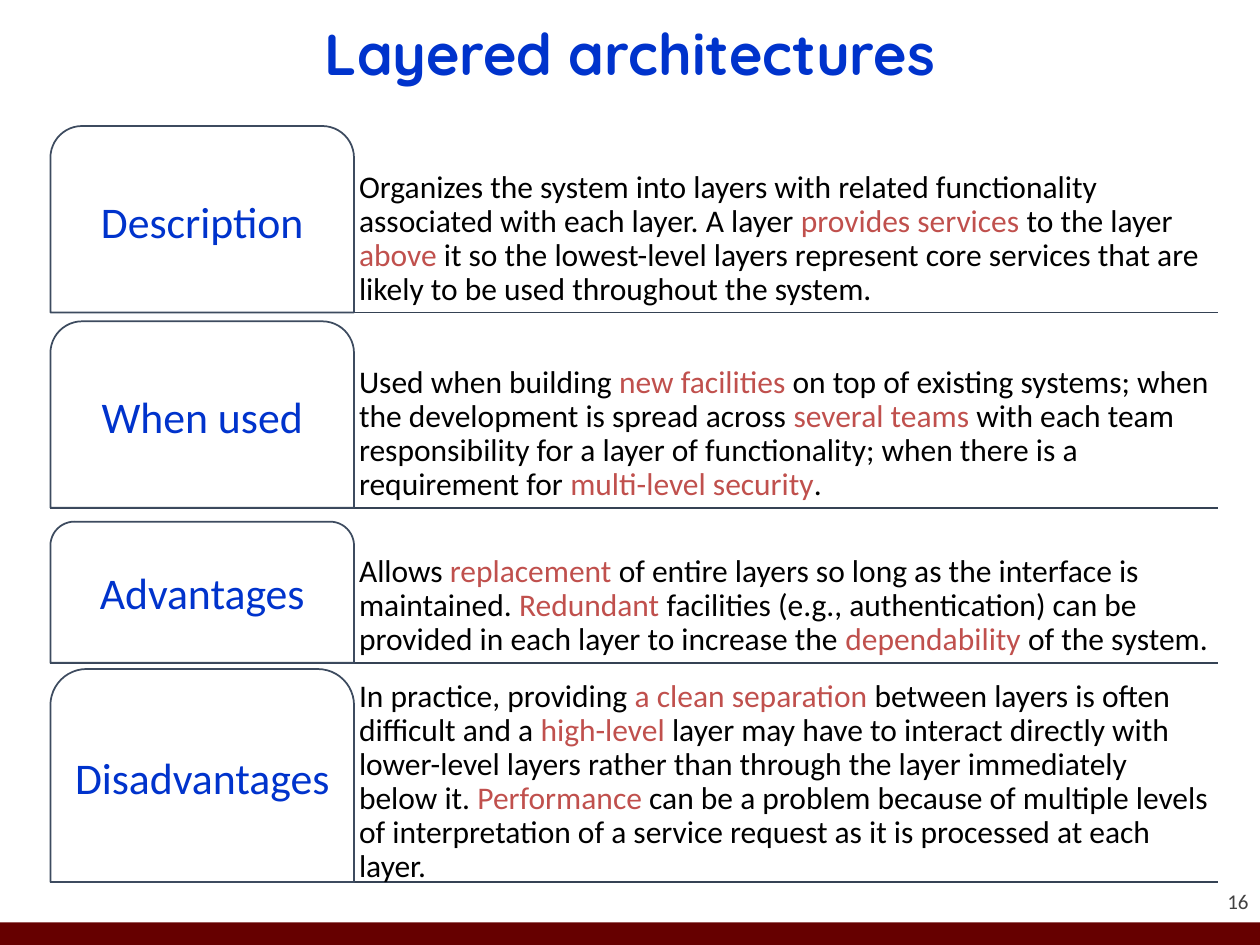
from lxml.etree import SubElement
from pptx import Presentation
from pptx.dml.color import RGBColor
from pptx.enum.shapes import MSO_CONNECTOR, MSO_SHAPE
from pptx.enum.text import MSO_ANCHOR, MSO_AUTO_SIZE, PP_ALIGN
from pptx.oxml.ns import qn
from pptx.util import Inches, Pt

COLORS = {
    "title": "0033CC",
    "text": "000000",
    "accent": "C0504D",
    "rule": "354254",
    "tab_line": "3D4B5F",
    "tab_fill": "FFFFFF",
    "footer": "660000",
    "number": "424242",
}

TAB_LEFT, TAB_WIDTH = 0.4, 2.41
BODY_LEFT = TAB_LEFT + TAB_WIDTH
RIGHT = 9.67

# Label, tab top, rule height, body top, body height, runs (every second one accented)
ROWS = [
    ("Description", 1, 2.48, 1, 1.48, [
        "Organizes the system into layers with related functionality "
        "associated with each layer. A layer ",
        "provides services ",
        "to the layer ",
        "above",
        " it so the lowest-level layers represent core services that are "
        "likely to be used throughout the system.",
    ]),
    ("When used", 2.55, 4.03, 2.55, 1.48, [
        "Used when building ",
        "new facilities ",
        "on top of existing systems; when the development is spread across ",
        "several teams ",
        "with each team responsibility for a layer of functionality; "
        "when there is a requirement for ",
        "multi-level security",
        ".",
    ]),
    ("Advantages", 4.14, 5.26, 4.25, 1.01, [
        "Allows ",
        "replacement",
        " of entire layers so long as the interface is maintained. ",
        "Redundant",
        " facilities (e.g., authentication) can be provided in each layer "
        "to increase the ",
        "dependability",
        " of the system.",
    ]),
    ("Disadvantages", 5.31, 7, 5.58, 1.48, [
        "In practice, providing ",
        "a clean separation ",
        "between layers is often difficult and a ",
        "high-level ",
        "layer may have to interact directly with lower-level layers rather "
        "than through the layer immediately below it. ",
        "Performance",
        " can be a problem because of multiple levels of interpretation of "
        "a service request as it is processed at each layer.",
    ]),
]


def set_frame(sp, anchor, inset):
    tf = sp.text_frame
    tf.word_wrap = True
    tf.auto_size = MSO_AUTO_SIZE.NONE
    tf.vertical_anchor = anchor
    tf.margin_left = tf.margin_right = Inches(inset)
    tf.margin_top = tf.margin_bottom = Inches(inset)
    return tf.paragraphs[0]


def add_run(p, text, size, color, font="Calibri", bold=False):
    r = p.add_run()
    r.text = text
    r.font.name = font
    r.font.size = Pt(size)
    r.font.bold = bold
    r.font.color.rgb = RGBColor.from_string(COLORS[color])


prs = Presentation()
prs.slide_width, prs.slide_height = Inches(10), Inches(7.5)
s = prs.slides.add_slide(prs.slide_layouts[5])

# Footer bar
sp = s.shapes.add_shape(MSO_SHAPE.RECTANGLE, Inches(0), Inches(7.32),
                        Inches(10), Inches(0.18))
sp.shadow.inherit = False
sp.fill.solid()
sp.fill.fore_color.rgb = RGBColor.from_string(COLORS["footer"])
sp.line.fill.background()

# Slide number
sp = s.shapes.add_textbox(Inches(9.08), Inches(6.85), Inches(0.83), Inches(0.4))
p = set_frame(sp, MSO_ANCHOR.BOTTOM, 0)
p.alignment = PP_ALIGN.RIGHT
add_run(p, "16", 12, "number")

# Title
title = s.shapes.title
title.left, title.top = Inches(0.69), Inches(-0.02)
title.width, title.height = Inches(8.62), Inches(0.94)
p = set_frame(title, MSO_ANCHOR.MIDDLE, 0.05)
title.text_frame.margin_left = title.text_frame.margin_right = Inches(0.1)
p.alignment = PP_ALIGN.CENTER
p.line_spacing = 0.9
add_run(p, "Layered architectures", 33, "title", "Quicksand", True)

for label, top, bottom, body_top, body_height, runs in ROWS:
    # Rule under the row
    rule = s.shapes.add_connector(MSO_CONNECTOR.STRAIGHT, Inches(TAB_LEFT),
                                  Inches(bottom), Inches(RIGHT), Inches(bottom))
    rule.line.color.rgb = RGBColor.from_string(COLORS["rule"])
    rule.line.width = Pt(1)
    SubElement(rule._element.spPr, qn("a:effectLst"))

    # Body text
    sp = s.shapes.add_textbox(Inches(BODY_LEFT), Inches(body_top),
                              Inches(RIGHT - BODY_LEFT), Inches(body_height))
    p = set_frame(sp, MSO_ANCHOR.BOTTOM, 0.04)
    p.line_spacing = 0.9
    for i, text in enumerate(runs):
        add_run(p, text, 18, "accent" if i % 2 else "text")

    # Tab with its label
    tab = s.shapes.add_shape(MSO_SHAPE.ROUND_2_SAME_RECTANGLE, Inches(TAB_LEFT),
                             Inches(top), Inches(TAB_WIDTH), Inches(bottom - top))
    tab.shadow.inherit = False
    tab.adjustments[0] = 0.17
    tab.fill.solid()
    tab.fill.fore_color.rgb = RGBColor.from_string(COLORS["tab_fill"])
    tab.line.color.rgb = RGBColor.from_string(COLORS["tab_line"])
    tab.line.width = Pt(1)
    p = set_frame(tab, MSO_ANCHOR.MIDDLE, 0.05)
    p.alignment = PP_ALIGN.CENTER
    p.line_spacing = 0.9
    add_run(p, label, 25, "title")

prs.save("out.pptx")
